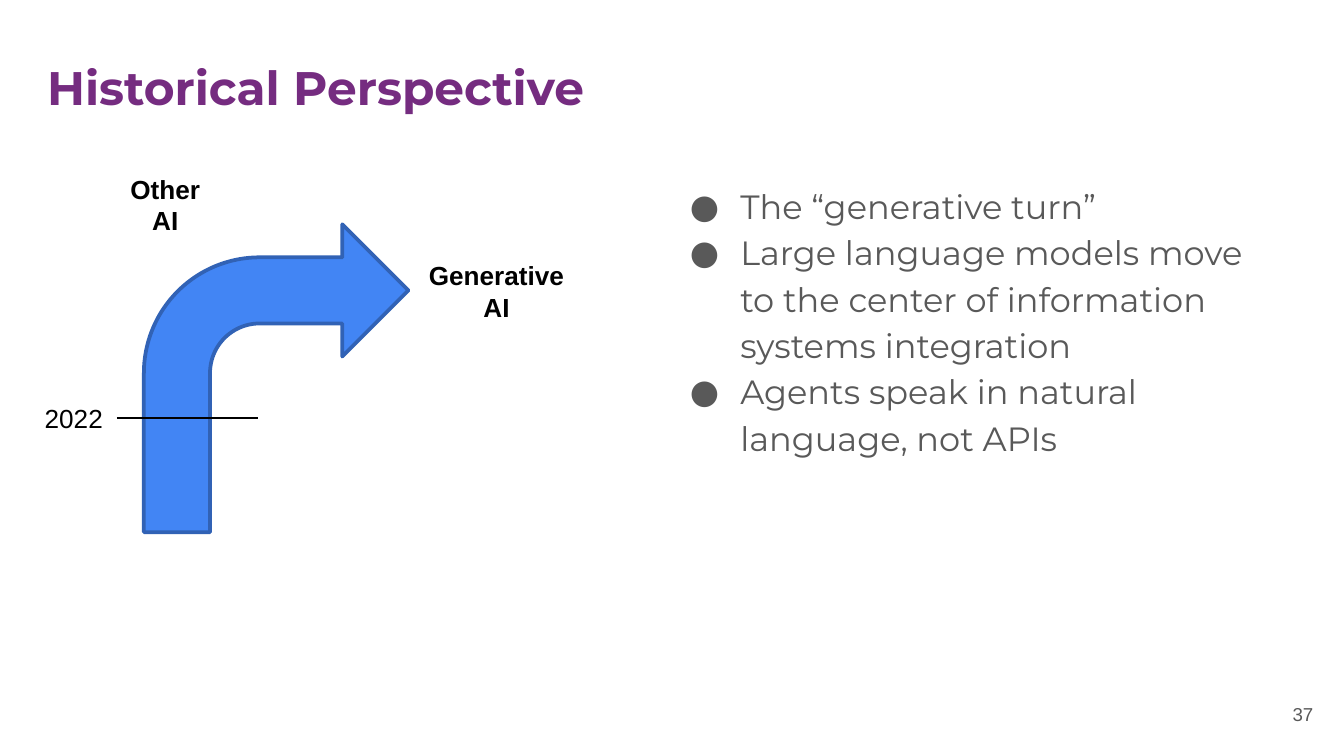
from lxml.etree import SubElement
from pptx import Presentation
from pptx.dml.color import RGBColor
from pptx.enum.shapes import MSO_CONNECTOR, MSO_SHAPE
from pptx.enum.text import MSO_ANCHOR, MSO_AUTO_SIZE, PP_ALIGN
from pptx.oxml.ns import qn
from pptx.util import Cm, Pt

PURPLE, GREY, BLACK = "752C80", "595959", "000000"
BLUE, NAVY = "4285F4", "3162B5"
HEAD = {"name": "Montserrat", "size": Pt(25.2), "bold": True}
BODY = {"name": "Montserrat", "size": Pt(18), "bold": False}
LABEL = {"name": "Arial", "size": Pt(14), "bold": True}
YEAR = {**LABEL, "bold": False}
NUMBER = {**YEAR, "size": Pt(10)}


def paint(color, code):
    color.rgb = RGBColor.from_string(code)


class Deck:
    """Holds the file, its current slide and the shared text style."""

    def __init__(self, width, height):
        self.file = Presentation()
        self.file.slide_width, self.file.slide_height = Cm(width), Cm(height)
        self.slide = self.file.slides.add_slide(self.file.slide_layouts[1])
        self.shapes = self.slide.shapes
        self.pad = Cm(0.25)

    def place(self, shape, box):
        for name, value in zip(("left", "top", "width", "height"), box):
            setattr(shape, name, Cm(value))

    def fill_text(self, shape, text, style, code, align=PP_ALIGN.LEFT, **form):
        frame = shape.text_frame
        frame.text = text
        form = {
            "auto_size": MSO_AUTO_SIZE.NONE,
            "word_wrap": True,
            "vertical_anchor": MSO_ANCHOR.TOP,
            **{f"margin_{side}": self.pad for side in ("left", "top", "right", "bottom")},
            **form,
        }
        for name, value in form.items():
            setattr(frame, name, value)
        for para in frame.paragraphs:
            para.alignment = align
            for run in para.runs:
                for name, value in style.items():
                    setattr(run.font, name, value)
                paint(run.font.color, code)

    def title(self, text, box):
        shape = self.shapes.title
        self.place(shape, box)
        self.fill_text(shape, text, HEAD, PURPLE)

    def bullets(self, items, box):
        shape = self.slide.placeholders[1]
        self.place(shape, box)
        self.fill_text(shape, "\n".join(items), BODY, GREY)
        for para in shape.text_frame.paragraphs:
            para.line_spacing, para.space_before = 1.15, Pt(0)
            props = para._p.get_or_add_pPr()
            props.set("marL", str(Cm(1.27)))
            props.set("indent", str(-Cm(0.95)))
            tint = SubElement(props, qn("a:buClr"))
            SubElement(tint, qn("a:srgbClr"), val=GREY)
            SubElement(props, qn("a:buFont"), typeface=BODY["name"])
            SubElement(props, qn("a:buChar"), char="●")

    def text(self, text, box, style, code=BLACK, align=PP_ALIGN.CENTER, **form):
        shape = self.shapes.add_textbox(*map(Cm, box))
        self.fill_text(shape, text, style, code, align, **form)

    def label(self, text, box, style=LABEL):
        self.text(text, box, style, word_wrap=False,
                  auto_size=MSO_AUTO_SIZE.SHAPE_TO_FIT_TEXT,
                  margin_top=Cm(0.13), margin_bottom=Cm(0.13))

    def arrow(self, box):
        shape = self.shapes.add_shape(MSO_SHAPE.BENT_ARROW, *map(Cm, box))
        shape.shadow.inherit = False
        shape.fill.solid()
        paint(shape.fill.fore_color, BLUE)
        paint(shape.line.color, NAVY)
        shape.line.width = Pt(2)

    def line(self, left, right, level):
        ends = map(Cm, (left, level, right, level))
        rule = self.shapes.add_connector(MSO_CONNECTOR.STRAIGHT, *ends)
        paint(rule.line.color, BLACK)
        rule.line.width = Pt(0.75)
        SubElement(rule._element.spPr, qn("a:effectLst"))


def main():
    deck = Deck(25.4, 14.29)
    deck.title("Historical Perspective", (0.64, 0.86, 23.67, 1.6))
    deck.bullets([
        "The “generative turn”",
        "Large language models move to the center of information systems integration",
        "Agents speak in natural language, not APIs",
    ], (12.47, 3.15, 11.28, 9.5))
    deck.text("37", (23.55, 12.95, 1.52, 1.09), NUMBER, GREY, PP_ALIGN.RIGHT,
              vertical_anchor=MSO_ANCHOR.MIDDLE)
    deck.arrow((2.72, 4.24, 5, 5.82))
    deck.label("Generative\nAI", (7.85, 4.78, 3.07, 1.45))
    deck.label("Other\nAI", (2.21, 3.15, 1.83, 1.45))
    deck.label("2022", (0.58, 7.47, 1.63, 0.86), YEAR)
    deck.line(2.21, 4.88, 7.9)
    deck.file.save("out.pptx")


if __name__ == "__main__":
    main()
